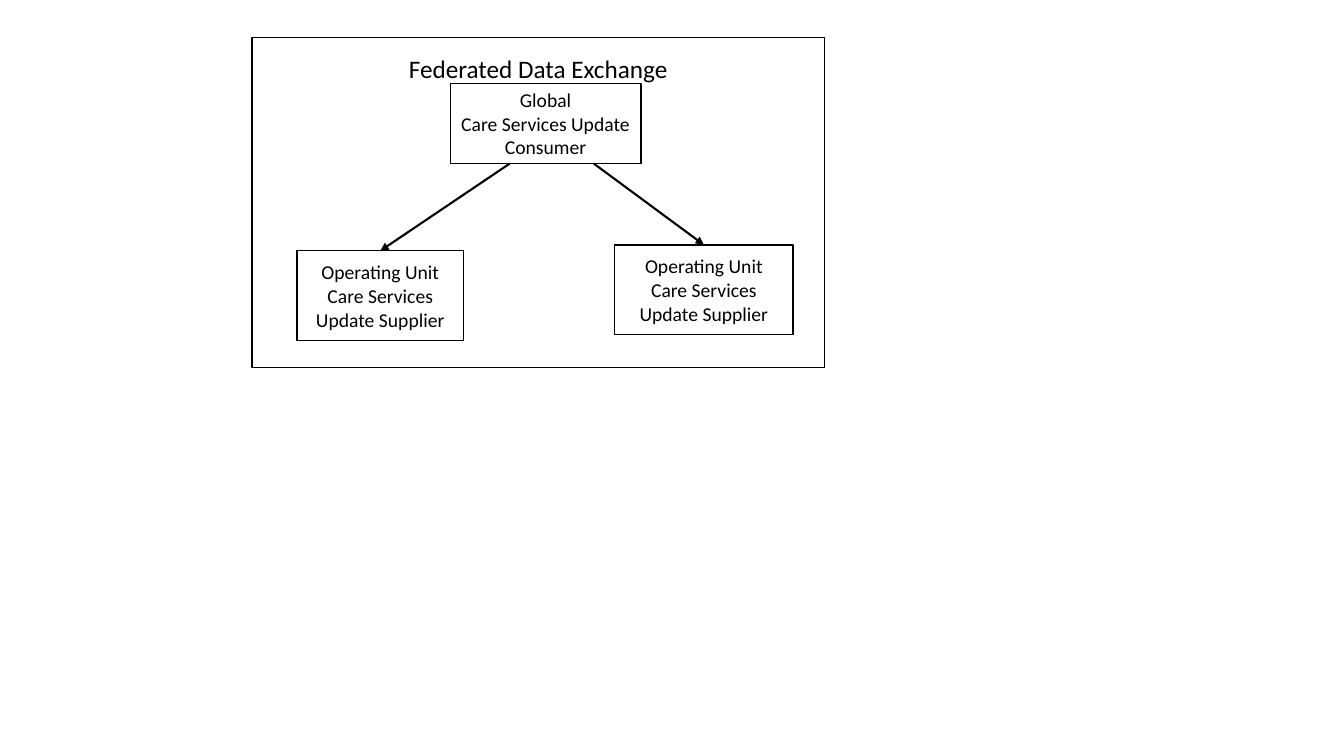
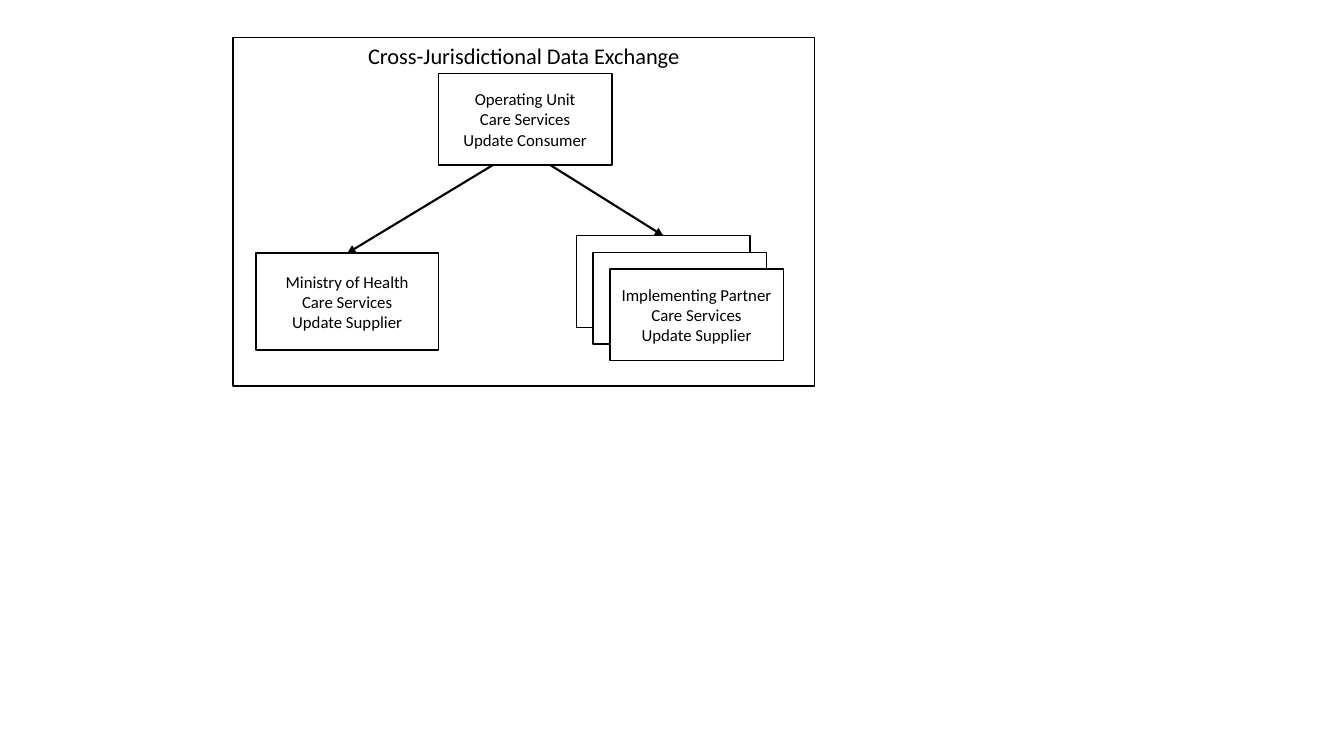
from lxml.etree import SubElement
from pptx import Presentation
from pptx.dml.color import RGBColor
from pptx.enum.shapes import MSO_CONNECTOR, MSO_SHAPE
from pptx.enum.text import MSO_ANCHOR, PP_ALIGN
from pptx.oxml.ns import qn
from pptx.util import Cm, Pt

COLORS = {"ink": "000000", "paper": "FFFFFF"}
FONT = "Calibri"
OUTLINE, ARROW = 1, 1.5
CARD_STEP = 0.42
TOP_SITE = 0

# Boxes are (left, top, width, height) in cm; "\v" breaks a line in a paragraph.
# "arrow_x" is where the arrow to a supplier leaves the consumer's bottom edge.
EXCHANGES = [
    {
        "title": "Federated Data Exchange", "title_size": 18, "title_inset": 0.41,
        "frame": (6.35, 0.94, 14.43, 8.33),
        "label_size": 14,
        "consumer": {"box": (11.35, 2.11, 4.8, 2.01),
                     "label": ["Global\vCare Services Update Consumer"]},
        "suppliers": [
            {"box": (7.49, 6.32, 4.19, 2.26), "cards": 1, "arrow_x": 12.85,
             "label": ["Operating Unit", "Care Services Update Supplier"]},
            {"box": (15.49, 6.17, 4.5, 2.26), "cards": 1, "arrow_x": 14.96,
             "label": ["Operating Unit\vCare Services Update Supplier"]},
        ],
    },
    {
        "title": "Cross-Jurisdictional Data Exchange", "title_size": 16, "title_inset": 0.13,
        "frame": (5.87, 0.94, 14.66, 8.79),
        "label_size": 12,
        "consumer": {"box": (11.05, 1.85, 4.37, 2.31),
                     "label": ["Operating Unit\vCare Services", "Update Consumer"]},
        "suppliers": [
            {"box": (6.45, 6.38, 4.6, 2.44), "cards": 1, "arrow_x": 12.42,
             "label": ["Ministry of Health\vCare Services", "Update Supplier"]},
            {"box": (14.53, 5.94, 4.37, 2.31), "cards": 3, "arrow_x": 13.87,
             "label": ["Implementing Partner\vCare Services", "Update Supplier"]},
        ],
    },
]


def color(name):
    """Return a palette colour."""
    return RGBColor.from_string(COLORS[name])


def add_box(slide, preset, box, filled=False):
    """Draw an outlined box, see-through unless filled."""
    outline = slide.shapes.add_shape(preset, *map(Cm, box))
    outline.shadow.inherit = False
    if filled:
        outline.fill.solid()
        outline.fill.fore_color.rgb = color("paper")
    else:
        outline.fill.background()
    outline.line.color.rgb = color("ink")
    outline.line.width = Pt(OUTLINE)
    return outline


def write(box, lines, size, anchor=MSO_ANCHOR.MIDDLE):
    """Put centred paragraphs into a box."""
    frame = box.text_frame
    frame.word_wrap = True
    frame.vertical_anchor = anchor
    frame.text = "\n".join(lines)
    for paragraph in frame.paragraphs:
        paragraph.alignment = PP_ALIGN.CENTER
        paragraph.font.name = FONT
        paragraph.font.size = Pt(size)
        paragraph.font.color.rgb = color("ink")


def add_actor(slide, box, filled=False):
    """Draw the square-cornered box of one actor."""
    actor = add_box(slide, MSO_SHAPE.ROUNDED_RECTANGLE, box, filled)
    actor.adjustments[0] = 0
    return actor


def add_arrow(slide, start_x, consumer, supplier):
    """Point from the consumer's bottom edge to the supplier's top centre."""
    start_y = consumer.top + consumer.height
    arrow = slide.shapes.add_connector(
        MSO_CONNECTOR.STRAIGHT, Cm(start_x), start_y,
        supplier.left + supplier.width // 2, supplier.top)
    arrow.end_connect(supplier, TOP_SITE)
    arrow.line.color.rgb = color("ink")
    arrow.line.width = Pt(ARROW)
    SubElement(arrow.line._get_or_add_ln(), qn("a:tailEnd"), type="triangle")
    SubElement(arrow._element.spPr, qn("a:effectLst"))


def add_supplier(slide, supplier, size):
    """Draw a supplier as a stack of cards and return the rear card."""
    left, top, width, height = supplier["box"]
    cards = [
        add_actor(slide, (left + i * CARD_STEP, top + i * CARD_STEP, width, height), i > 0)
        for i in range(supplier["cards"])
    ]
    write(cards[-1], supplier["label"], size)
    return cards[0]


def add_exchange(deck, exchange):
    """Build the slide of one data exchange."""
    slide = deck.slides.add_slide(deck.slide_layouts[6])
    frame = add_box(slide, MSO_SHAPE.RECTANGLE, exchange["frame"])
    frame.text_frame.margin_top = Cm(exchange["title_inset"])
    write(frame, [exchange["title"]], exchange["title_size"], MSO_ANCHOR.TOP)
    size = exchange["label_size"]
    consumer = add_actor(slide, exchange["consumer"]["box"])
    write(consumer, exchange["consumer"]["label"], size)
    for supplier in exchange["suppliers"]:
        rear_card = add_supplier(slide, supplier, size)
        add_arrow(slide, supplier["arrow_x"], consumer, rear_card)


deck = Presentation()
deck.slide_width, deck.slide_height = Cm(33.87), Cm(19.05)
for exchange in EXCHANGES:
    add_exchange(deck, exchange)
deck.save("out.pptx")
